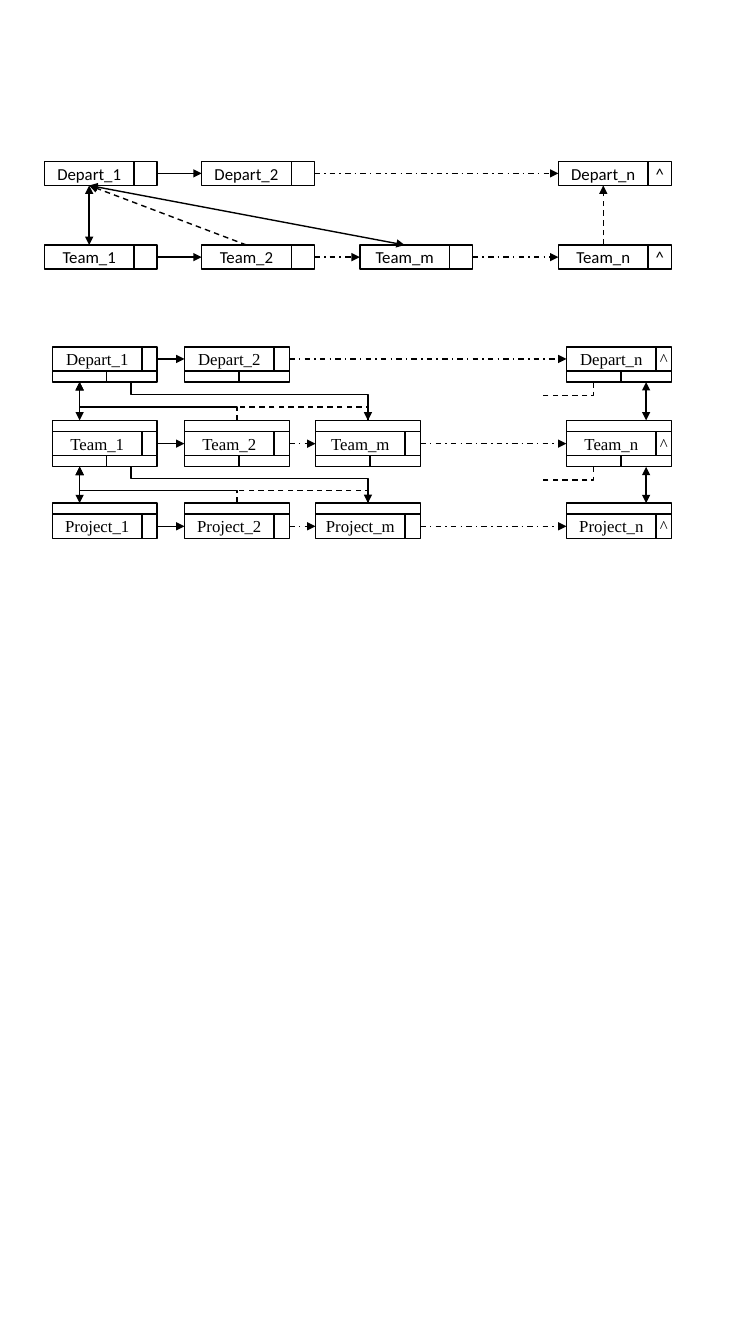
from dataclasses import dataclass
from itertools import pairwise
from typing import Optional

from lxml.etree import SubElement
from pptx import Presentation
from pptx.dml.color import RGBColor
from pptx.enum.dml import MSO_LINE
from pptx.enum.shapes import MSO_CONNECTOR, MSO_SHAPE
from pptx.enum.text import MSO_ANCHOR, PP_ALIGN
from pptx.oxml.ns import qn
from pptx.shapes.connector import Connector
from pptx.util import Inches, Pt

COLORS = {"ink": "000000", "paper": "FFFFFF"}
FRAME_FORMAT = {
    "margin_left": 0, "margin_right": 0, "margin_top": 0, "margin_bottom": 0,
    "word_wrap": False, "vertical_anchor": MSO_ANCHOR.MIDDLE,
}
LABEL_WIDTH = 0.89
ROW_HEIGHT = 0.24
BAR_HEIGHT = 0.11
CHILD_WIDTH = 0.54


@dataclass(frozen=True)
class NodeStyle:
    font: str
    pointer_width: float

    @property
    def width(self) -> float:
        return LABEL_WIDTH + self.pointer_width


@dataclass(frozen=True)
class Level:
    name: str
    top: float
    columns: dict[str, float]
    parent_bar: bool = False
    child_bar: bool = False

    @property
    def upper(self) -> float:
        return self.top - BAR_HEIGHT * self.parent_bar

    @property
    def lower(self) -> float:
        return self.top + ROW_HEIGHT + BAR_HEIGHT * self.child_bar


@dataclass(frozen=True)
class Link:
    start: tuple[float, float]
    end: tuple[float, float]
    dash: Optional[MSO_LINE] = None
    head: bool = False
    tail: bool = True


def color(name: str) -> RGBColor:
    return RGBColor.from_string(COLORS[name])


def draw_cell(shapes, left: float, top: float, width: float, height: float,
              font: str, text: str = "") -> None:
    shape = shapes.add_shape(MSO_SHAPE.RECTANGLE, Inches(left), Inches(top),
                             Inches(width), Inches(height))
    shape.shadow.inherit = False
    shape.fill.solid()
    shape.fill.fore_color.rgb = color("paper")
    shape.line.color.rgb = color("ink")
    shape.line.width = Pt(1)
    if text:
        for name, value in FRAME_FORMAT.items():
            setattr(shape.text_frame, name, value)
        paragraph = shape.text_frame.paragraphs[0]
        paragraph.alignment = PP_ALIGN.CENTER
        run = paragraph.add_run()
        run.text = text
        for name, value in {"name": font, "size": Pt(12)}.items():
            setattr(run.font, name, value)
        run.font.color.rgb = color("ink")


def draw_node(slide, level: Level, suffix: str, style: NodeStyle) -> None:
    shapes = slide.shapes.add_group_shape().shapes
    left = level.columns[suffix]
    draw_cell(shapes, left, level.top, LABEL_WIDTH, ROW_HEIGHT, style.font,
              f"{level.name}_{suffix}")
    draw_cell(shapes, left + LABEL_WIDTH, level.top, style.pointer_width,
              ROW_HEIGHT, style.font, "^" if suffix == "n" else "")
    if level.parent_bar:
        draw_cell(shapes, left, level.upper, style.width, BAR_HEIGHT, style.font)
    if level.child_bar:
        bar_top = level.top + ROW_HEIGHT
        draw_cell(shapes, left, bar_top, CHILD_WIDTH, BAR_HEIGHT, style.font)
        draw_cell(shapes, left + CHILD_WIDTH, bar_top,
                  style.width - CHILD_WIDTH, BAR_HEIGHT, style.font)


def format_link(connector: Connector, link: Link) -> None:
    connector.line.color.rgb = color("ink")
    connector.line.width = Pt(1)
    if link.dash:
        connector.line.dash_style = link.dash
    properties = connector.element.spPr
    outline = properties.find(qn("a:ln"))
    for tag, shown in {"a:headEnd": link.head, "a:tailEnd": link.tail}.items():
        if shown:
            SubElement(outline, qn(tag), type="triangle")
    SubElement(properties, qn("a:effectLst"))


def draw_straight(slide, link: Link) -> None:
    ends = [Inches(value) for value in (*link.start, *link.end)]
    format_link(slide.shapes.add_connector(MSO_CONNECTOR.STRAIGHT, *ends), link)


def draw_elbow(slide, link: Link, turn: Optional[float] = None) -> None:
    (start_x, start_y), (end_x, end_y) = link.start, link.end
    width, height = abs(end_y - start_y), abs(end_x - start_x)
    left = (start_x + end_x - width) / 2
    top = (start_y + end_y - height) / 2
    connector = slide.shapes.add_connector(
        MSO_CONNECTOR.ELBOW, Inches(left), Inches(top),
        Inches(left + width), Inches(top + height))
    connector.rotation = 270
    properties = connector.element.spPr
    frame = properties.find(qn("a:xfrm"))
    flips = {"flipH": end_y > start_y, "flipV": end_x < start_x}
    for name, flipped in flips.items():
        if flipped:
            frame.set(name, "1")
    geometry = properties.find(qn("a:prstGeom"))
    if turn is None:
        geometry.set("prst", "bentConnector2")
    else:
        SubElement(geometry.find(qn("a:avLst")), qn("a:gd"), name="adj1",
                   fmla=f"val {round(turn * 100000)}")
    format_link(connector, link)


def draw_level(slide, level: Level, style: NodeStyle) -> None:
    for suffix in level.columns:
        draw_node(slide, level, suffix, style)
    middle = level.top + ROW_HEIGHT / 2
    for index, (left, following) in enumerate(pairwise(level.columns.values())):
        draw_straight(slide, Link((left + style.width, middle), (following, middle),
                                  MSO_LINE.DASH_DOT if index else None))


def draw_simple_links(slide, departments: Level, teams: Level) -> None:
    center = {suffix: left + LABEL_WIDTH / 2 for suffix, left in teams.columns.items()}
    root = (center["1"], departments.lower)
    for suffix in ("1", "m"):
        draw_straight(slide, Link(root, (center[suffix], teams.upper), head=True))
    draw_straight(slide, Link((center["2"], teams.upper), root, MSO_LINE.DASH))
    draw_straight(slide, Link((center["n"], teams.upper),
                              (center["n"], departments.lower), MSO_LINE.DASH))


def draw_ring_links(slide, parents: Level, children: Level) -> None:
    first, second, last, final = children.columns.values()
    first_x, second_x, last_x = first + 0.27, second + 0.52, last + 0.52
    for x in (first_x, final + 0.79):
        draw_straight(slide, Link((x, parents.lower), (x, children.upper), head=True))
    for x in (second_x, last_x):
        draw_elbow(slide, Link((x, children.upper), (first_x, parents.lower),
                               MSO_LINE.DASH), 0.35)
    draw_elbow(slide, Link((first + 0.78, parents.lower), (last_x, children.upper)), 0.33)
    draw_elbow(slide, Link((final + 0.27, parents.lower),
                           (final - 0.24, parents.lower + 0.13),
                           MSO_LINE.DASH, tail=False))


presentation = Presentation()
presentation.slide_width, presentation.slide_height = Inches(7.5), Inches(13.33)
slide = presentation.slides.add_slide(presentation.slide_layouts[6])

simple_style = NodeStyle("Calibri", 0.23)
simple_levels = [
    Level("Depart", 1.6, {"1": 0.44, "2": 2, "n": 5.54}),
    Level("Team", 2.43, {"1": 0.44, "2": 2, "m": 3.57, "n": 5.54}),
]
ring_style = NodeStyle("Times New Roman", 0.15)
ring_columns = {"1": 0.52, "2": 1.83, "m": 3.13, "n": 5.62}
ring_levels = [
    Level("Depart", 3.44, {"1": 0.52, "2": 1.83, "n": 5.62}, child_bar=True),
    Level("Team", 4.28, ring_columns, parent_bar=True, child_bar=True),
    Level("Project", 5.1, ring_columns, parent_bar=True),
]

for levels, style, draw_links in (
    (simple_levels, simple_style, draw_simple_links),
    (ring_levels, ring_style, draw_ring_links),
):
    for level in levels:
        draw_level(slide, level, style)
    for parents, children in pairwise(levels):
        draw_links(slide, parents, children)

presentation.save("out.pptx")
